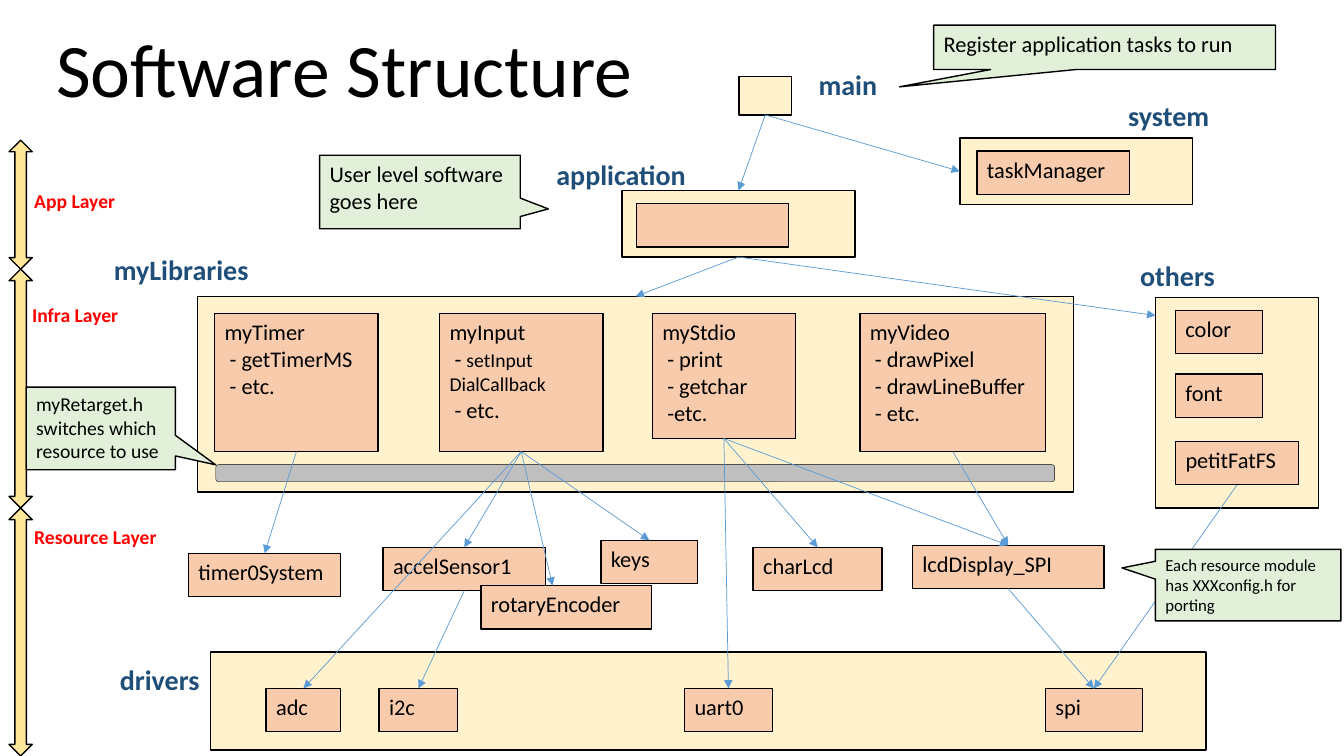
from lxml.etree import SubElement
from pptx import Presentation
from pptx.dml.color import RGBColor
from pptx.enum.shapes import MSO_CONNECTOR, MSO_SHAPE
from pptx.enum.text import MSO_ANCHOR, PP_ALIGN
from pptx.oxml.ns import qn
from pptx.util import Inches, Pt

BLACK = RGBColor(0x00, 0x00, 0x00)
CREAM = RGBColor(0xFF, 0xF2, 0xCC)
PEACH = RGBColor(0xF8, 0xCB, 0xAD)
GREEN = RGBColor(0xE2, 0xF0, 0xD9)
GOLD = RGBColor(0xFF, 0xE6, 0x99)
GRAY = RGBColor(0xBF, 0xBF, 0xBF)
BLUE = RGBColor(0x5B, 0x9B, 0xD5)
NAVY = RGBColor(0x1F, 0x4E, 0x79)
RED = RGBColor(0xFF, 0x00, 0x00)

FONT = "Calibri"
CELLS_PER_INCH = 10
MODULE_HEIGHT = 4.3
LIBRARY_ROW = 31.1
DRIVER_ROW = 68.3
TOP, LEFT, BOTTOM = 0, 1, 2

PACKAGES = {
    "main": (73.3, 7.6, 5.2, 3.8),
    "system": (95.2, 13.7, 23.1, 6.6),
    "application": (61.7, 18.9, 23.1, 6.6),
    "myLibraries": (19.6, 29.4, 86.9, 19.4),
    "others": (114.6, 29.5, 16.2, 20.9),
    "drivers": (20.9, 64.7, 98.7, 9.7),
}
PACKAGE_LABELS = {
    "main": (80.2, 6.2, 7.9),
    "system": (110.9, 9.3, 10.1),
    "application": (54.2, 15.1, 15),
    "myLibraries": (10.3, 24.6, 15.5),
    "others": (112.1, 25.2, 9.5),
    "drivers": (10.9, 65.2, 10),
}
LIBRARIES = {
    "myTimer": (21.3, 16.2, 13.7, [" - getTimerMS", " - etc."]),
    "myInput": (43.6, 16.2, 13.7, [" - ", " - etc."]),
    "myStdio": (64.7, 14.2, 12.4, [" - print", " - getchar", " -etc."]),
    "myVideo": (85.3, 18.4, 13.7, [" - drawPixel", " - drawLineBuffer", " - etc."]),
}
MODULES = {
    "": (63.1, 20.2, 15.1),
    "taskManager": (96.9, 15, 15.1),
    "color": (116.6, 30.8, 8.6),
    "font": (116.6, 37.1, 8.6),
    "petitFatFS": (116.6, 43.8, 12.2),
    "timer0System": (18.7, 54.9, 15.1),
    "accelSensor1": (38, 54.3, 16.1),
    "keys": (59.6, 53.6, 9.6),
    "rotaryEncoder": (47.7, 58.1, 16.9),
    "charLcd": (74.7, 54.3, 12.8),
    "lcdDisplay_SPI": (90.5, 54.1, 19),
    "adc": (26.4, DRIVER_ROW, 7.4),
    "i2c": (37.6, DRIVER_ROW, 7.8),
    "uart0": (67.9, DRIVER_ROW, 8.7),
    "spi": (103.7, DRIVER_ROW, 9.6),
}
USES = {
    "main": ["application"],
    "application": ["myLibraries"],
    "myTimer": ["timer0System"],
    "myInput": ["accelSensor1", "keys", "adc"],
    "myStdio": ["lcdDisplay_SPI", "uart0", "charLcd"],
    "myVideo": ["lcdDisplay_SPI"],
    "accelSensor1": ["i2c"],
    "lcdDisplay_SPI": ["spi"],
    "petitFatFS": ["spi"],
}
LAYERS = [
    ("App Layer", 13.9, 26.7, (2.4, 18.3, 10.1)),
    ("Infra Layer", 26.7, 50.4, (2.2, 29.6, 10.6)),
    ("Resource Layer", 50.4, 75, (2.4, 51.6, 14.2)),
]
CALLOUTS = [
    (["Register application tasks to run"], 16, (92.6, 2.5, 33.9, 4.4), (-0.6, 0.89)),
    (["Each resource module has XXXconfig.h for porting"], 12,
     (114.6, 54.5, 18.4, 7.1), (-0.68, -0.24)),
    (["myRetarget.h", "switches which resource to use"], 14,
     (2.6, 38.4, 14.8, 8.2), (0.77, 0.44)),
    (["User level software goes here"], 16, (31.7, 15.4, 19.9, 7.3), (0.64, 0.23)),
]


def cells(*counts):
    """Convert grid cells to slide lengths."""
    return [Inches(count / CELLS_PER_INCH) for count in counts]


def format_run(run, size, color=BLACK, bold=False):
    """Set the font of a run."""
    run.font.name = FONT
    run.font.size = Pt(size)
    run.font.bold = bold
    run.font.color.rgb = color


def write_lines(shape, lines, size, color=BLACK, bold=False):
    """Fill a shape with left-aligned paragraphs."""
    frame = shape.text_frame
    frame.text = "\n".join(lines)
    frame.vertical_anchor = MSO_ANCHOR.TOP
    for paragraph in frame.paragraphs:
        paragraph.alignment = PP_ALIGN.LEFT
        for run in paragraph.runs:
            format_run(run, size, color, bold)


def add_box(slide, box, fill, kind=MSO_SHAPE.RECTANGLE, line_width=1):
    """Add a flat outlined shape."""
    shape = slide.shapes.add_shape(kind, *cells(*box))
    shape.shadow.inherit = False
    shape.fill.solid()
    shape.fill.fore_color.rgb = fill
    shape.line.color.rgb = BLACK
    shape.line.width = Pt(line_width)
    return shape


def add_module(slide, box, lines):
    """Add a software module with its text."""
    module = add_box(slide, box, PEACH)
    write_lines(module, lines, 16)
    return module


def add_label(slide, text, place, size, color):
    """Add a bold one-line label."""
    height = 4.4 if size == 20 else 3.4
    label = slide.shapes.add_textbox(*cells(*place, height))
    label.text_frame.word_wrap = False
    write_lines(label, [text], size, color, True)


def add_title(slide, text):
    """Add the slide title."""
    title = slide.shapes.add_textbox(*cells(4.6, 2.6, 115, 9.2))
    title.text_frame.word_wrap = True
    write_lines(title, [text], 54)
    title.text_frame.vertical_anchor = MSO_ANCHOR.BOTTOM
    title.text_frame.paragraphs[0].line_spacing = 0.9


def add_callout(slide, lines, size, box, tip):
    """Add a speech callout whose tip is relative to its centre."""
    callout = add_box(slide, box, GREEN, MSO_SHAPE.RECTANGULAR_CALLOUT)
    callout.adjustments[0], callout.adjustments[1] = tip
    write_lines(callout, lines, size)


def add_use(slide, user, used, site=TOP):
    """Add an arrow from the bottom of one shape to a site of another."""
    arrow = slide.shapes.add_connector(MSO_CONNECTOR.STRAIGHT, 0, 0, 0, 0)
    arrow.begin_connect(user, BOTTOM)
    arrow.end_connect(used, site)
    arrow.line.color.rgb = BLUE
    arrow.line.width = Pt(0.5)
    SubElement(arrow.line._get_or_add_ln(), qn("a:tailEnd"), type="triangle")
    SubElement(arrow._element.spPr, qn("a:effectLst"))
    return arrow


def main():
    """Build the software structure slide."""
    presentation = Presentation()
    presentation.slide_width, presentation.slide_height = Inches(13.33), Inches(7.5)
    slide = presentation.slides.add_slide(presentation.slide_layouts[6])
    add_title(slide, "Software Structure")

    parts = {name: add_box(slide, box, CREAM) for name, box in PACKAGES.items()}
    add_box(slide, (21.4, 46.1, 83.2, 1.7), GRAY, MSO_SHAPE.ROUNDED_RECTANGLE, 0.25)
    for name, (left, width, height, functions) in LIBRARIES.items():
        box = (left, LIBRARY_ROW, width, height)
        parts[name] = add_module(slide, box, [name, *functions])
    callback = parts["myInput"].text_frame.paragraphs[1].add_run()
    callback.text = "setInput DialCallback"
    format_run(callback, 14)
    for name, place in MODULES.items():
        parts[name] = add_module(slide, (*place, MODULE_HEIGHT), [name])

    for user, used_parts in USES.items():
        for used in used_parts:
            add_use(slide, parts[user], parts[used])
    add_use(slide, parts["main"], parts["system"], LEFT)
    encoder_arrow = add_use(slide, parts["myInput"], parts["rotaryEncoder"])
    encoder_arrow.end_x = Inches(5.48)
    others_arrow = add_use(slide, parts["application"], parts["others"], LEFT)
    others_arrow.end_y = Inches(3.13)

    for name, place in PACKAGE_LABELS.items():
        add_label(slide, name, place, 20, NAVY)
    for name, top, bottom, place in LAYERS:
        add_box(slide, (0.9, top, 2.3, bottom - top), GOLD, MSO_SHAPE.UP_DOWN_ARROW)
        add_label(slide, name, place, 14, RED)
    for callout in CALLOUTS:
        add_callout(slide, *callout)
    presentation.save("out.pptx")


if __name__ == "__main__":
    main()
